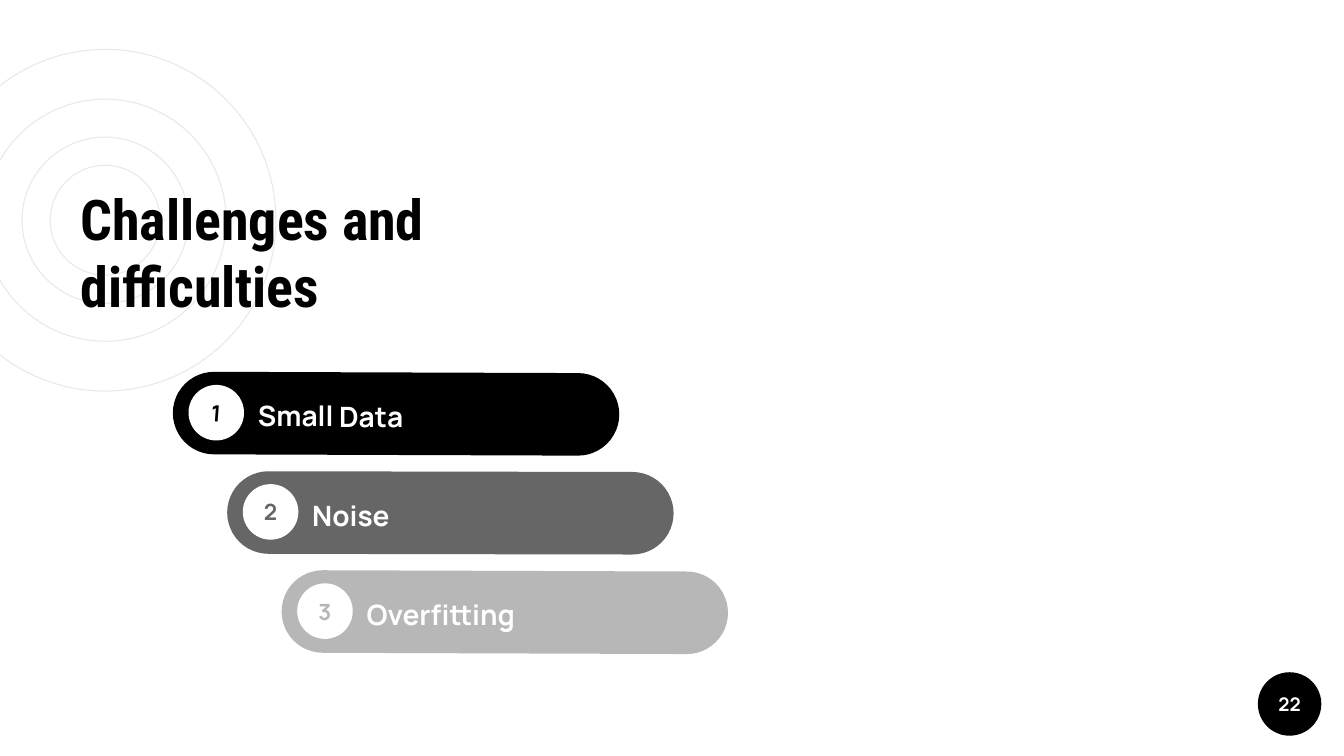
import pptx
import pptx.util
from pptx.dml.color import RGBColor
from pptx.enum.shapes import MSO_SHAPE
from pptx.enum.text import MSO_ANCHOR, MSO_AUTO_SIZE, PP_ALIGN
from pptx.util import Cm

THEME = {
    "black": "000000", "white": "FFFFFF", "ring": "E8E8E8",
    "dark": "666666", "light": "B7B7B7",
    "head": "Roboto Condensed", "body": "Manrope",
    "title": 40, "label": 20, "badge": 16, "page": 13.4,
}


def write(sp, text, size, color, font=THEME["body"], align=PP_ALIGN.LEFT,
          anchor=MSO_ANCHOR.MIDDLE, wrap=True, spacing=None):
    tf = sp.text_frame
    tf.auto_size = MSO_AUTO_SIZE.NONE
    tf.word_wrap = wrap
    tf.vertical_anchor = anchor
    tf.margin_left = tf.margin_right = tf.margin_top = tf.margin_bottom = Cm(0.33)
    p = tf.paragraphs[0]
    p.alignment = align
    p.line_spacing = spacing
    r = p.add_run()
    r.text = text
    r.font.name = font
    r.font.size = pptx.util.Pt(size)
    r.font.bold = True
    r.font.color.rgb = RGBColor.from_string(color)


def add_shape(shapes, kind, x, y, w, h, fill=None, line=None):
    sp = shapes.add_shape(kind, Cm(x), Cm(y), Cm(w), Cm(h))
    sp.shadow.inherit = False
    if fill:
        sp.fill.solid()
        sp.fill.fore_color.rgb = RGBColor.from_string(fill)
    else:
        sp.fill.background()
    if line:
        sp.line.color.rgb = RGBColor.from_string(line)
        sp.line.width = pptx.util.Pt(0.75)
    else:
        sp.line.fill.background()
    return sp


prs = pptx.Presentation()
prs.slide_width, prs.slide_height = Cm(33.87), Cm(19.05)
s = prs.slides.add_slide(prs.slide_layouts[5])
title = s.shapes.title

# Concentric rings, moved behind the title
rings = s.shapes.add_group_shape()
for d in (8.61, 4.19, 6.1, 2.77):
    add_shape(rings.shapes, MSO_SHAPE.OVAL, 2.65 - d / 2, 5.55 - d / 2, d, d,
              line=THEME["ring"])
title.element.addprevious(rings.element)

# Title
title.left, title.top, title.width, title.height = Cm(1.7), Cm(4.32), Cm(13.46), Cm(2.54)
write(title, "Challenges and difficulties", THEME["title"], THEME["black"],
      font=THEME["head"], anchor=MSO_ANCHOR.TOP)

# Page number
page = add_shape(s.shapes, MSO_SHAPE.OVAL, 31.7, 16.94, 1.6, 1.6, fill=THEME["black"])
write(page, "22", THEME["page"], THEME["white"], align=PP_ALIGN.CENTER, wrap=False)

# Staggered pills: text, colour, tilt of the pill and of its badge
challenges = [
    ("Small Data", THEME["black"], 0.2, 4.4),
    ("Noise", THEME["dark"], 0.1, 0),
    ("Overfitting", THEME["light"], 0.2, 0),
]
for i, (text, color, tilt, badge_tilt) in enumerate(challenges):
    dx, dy = 1.37 * i, 2.5 * i
    row = s.shapes.add_group_shape().shapes

    pill = add_shape(row, MSO_SHAPE.ROUNDED_RECTANGLE, 8.94 + dx, 4.8 + dy,
                     2.08, 11.25, fill=color)
    pill.adjustments[0] = 0.5
    pill.rotation = 90 + tilt

    badge = add_shape(row, MSO_SHAPE.OVAL, 4.75 + dx, 9.7 + dy, 1.4, 1.4,
                      fill=THEME["white"])
    badge.rotation = badge_tilt
    write(badge, str(i + 1), THEME["badge"], color, align=PP_ALIGN.CENTER, wrap=False)

    label = row.add_textbox(Cm(6.17 + dx), Cm(9.7 + dy), Cm(8.64), Cm(1.45))
    label.rotation = tilt
    write(label, text, THEME["label"], THEME["white"], spacing=1.15)

prs.save("out.pptx")
